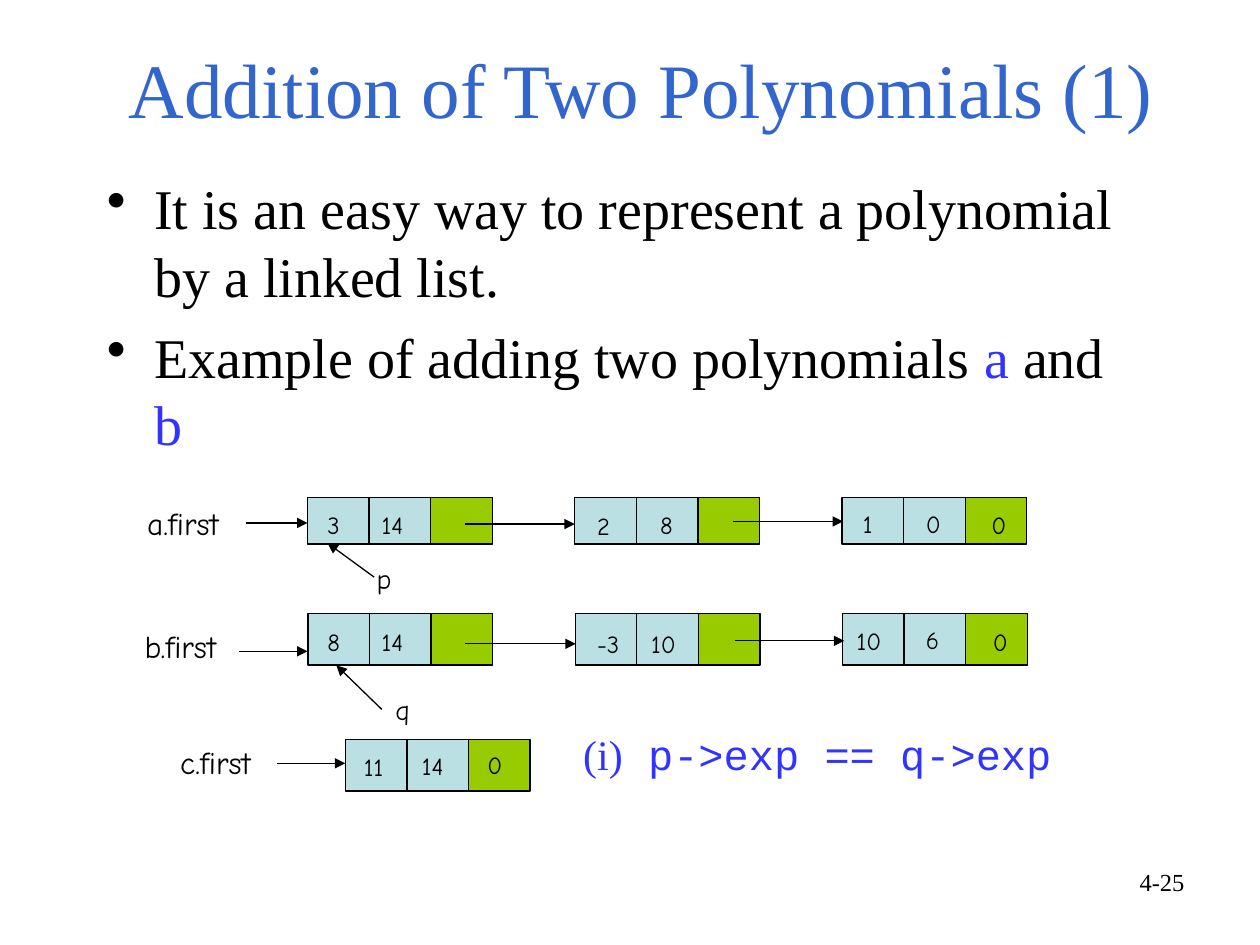
from lxml import etree
from pptx import Presentation
from pptx.dml.color import RGBColor
from pptx.enum.shapes import MSO_CONNECTOR, MSO_SHAPE
from pptx.enum.text import MSO_ANCHOR, MSO_AUTO_SIZE, PP_ALIGN
from pptx.oxml.ns import qn
from pptx.util import Pt

RECTANGLE = MSO_SHAPE.RECTANGLE
STRAIGHT = MSO_CONNECTOR.STRAIGHT
BOTTOM = MSO_ANCHOR.BOTTOM
NO_AUTOFIT = MSO_AUTO_SIZE.NONE
LEFT, CENTER, RIGHT = PP_ALIGN.LEFT, PP_ALIGN.CENTER, PP_ALIGN.RIGHT

COLORS = {
    "title": "3366CC",
    "text": "000000",
    "accent": "3333FF",
    "data": "BBE0E3",
    "link": "99CC00",
}
SERIF, HAND, CODE = "Times New Roman", "Comic Neue", "Courier New"
CELL_WIDTH = 35.2
NODE_PITCH = 152.75


class PolynomialSlide:
    def __init__(self, presentation):
        self.slide = presentation.slides.add_slide(presentation.slide_layouts[5])

    def add_runs(self, paragraph, runs, size):
        for text, font, color in runs:
            run = paragraph.add_run()
            run.text = text
            run.font.name = font
            run.font.size = Pt(size)
            run.font.color.rgb = RGBColor.from_string(COLORS[color])

    def title(self, text, left, top, width, height):
        shape = self.slide.shapes.title
        shape.left, shape.top = Pt(left), Pt(top)
        shape.width, shape.height = Pt(width), Pt(height)
        frame = shape.text_frame
        frame.auto_size = NO_AUTOFIT
        frame.vertical_anchor = BOTTOM
        paragraph = frame.paragraphs[0]
        paragraph.alignment = CENTER
        self.add_runs(paragraph, [(text, SERIF, "title")], 44)

    def text(self, runs, left, top, width, height, size, align=LEFT):
        frame = self.slide.shapes.add_textbox(
            Pt(left), Pt(top), Pt(width), Pt(height)).text_frame
        frame.word_wrap = True
        paragraph = frame.paragraphs[0]
        paragraph.alignment = align
        self.add_runs(paragraph, runs, size)
        return frame

    def bullets(self, items, left, top, width, height):
        frame = self.text(items[0], left, top, width, height, 32)
        for runs in items[1:]:
            self.add_runs(frame.add_paragraph(), runs, 32)
        for paragraph in frame.paragraphs:
            paragraph.space_before = Pt(8)
            properties = paragraph._p.get_or_add_pPr()
            properties.set("marL", str(Pt(27)))
            properties.set("indent", str(-Pt(27)))
            etree.SubElement(properties, qn("a:buChar")).set("char", "•")

    def label(self, text, left, top, size):
        width = 20.2 if len(text) == 1 else 35.2 if len(text) == 2 else 80.6
        self.text([(text, HAND, "text")], left, top, width, size + 11, size)

    def node(self, left, top, height):
        for column, color in enumerate(("data", "data", "link")):
            shape = self.slide.shapes.add_shape(
                RECTANGLE, Pt(left + column * CELL_WIDTH), Pt(top),
                Pt(CELL_WIDTH), Pt(height))
            shape.shadow.inherit = False
            shape.fill.solid()
            shape.fill.fore_color.rgb = RGBColor.from_string(COLORS[color])
            shape.line.color.rgb = RGBColor.from_string(COLORS["text"])
            shape.line.width = Pt(0.75)

    def arrow(self, start_x, start_y, end_x, end_y):
        connector = self.slide.shapes.add_connector(
            STRAIGHT, Pt(start_x), Pt(start_y), Pt(end_x), Pt(end_y))
        connector.line.color.rgb = RGBColor.from_string(COLORS["text"])
        connector.line.width = Pt(0.75)
        line = connector.line._get_or_add_ln()
        etree.SubElement(line, qn("a:tailEnd")).set("type", "triangle")
        etree.SubElement(connector._element.spPr, qn("a:effectLst"))

    def linked_list(self, name, left, top, height, count, values):
        for index in range(count):
            self.node(left + index * NODE_PITCH, top, height)
        self.label(*name, 18)
        for value in values:
            self.label(*value, 14)


LISTS = [
    (("a.first", 77, 284.4), 175.7, 284.4, 26.6, 3, [
        ("3", 180, 288), ("14", 211, 288),
        ("2", 334.1, 288.7), ("8", 370.1, 288),
        ("1", 486, 287.3), ("0", 522, 287.3), ("0", 559.4, 288)]),
    (("b.first", 75.6, 355), 176, 350.6, 29.5, 3, [
        ("8", 180, 355), ("14", 211, 355),
        ("-3", 334.1, 355.7), ("10", 365, 355.7),
        ("10", 482.4, 354.2), ("6", 522, 353.5), ("0", 560.2, 355)]),
    (("c.first", 95.8, 421.2), 197.4, 422.6, 29.5, 1, [
        ("11", 200.9, 426.2), ("14", 234, 425.5), ("0", 271.4, 424.8)]),
]
ARROWS = [
    (140.4, 298.8, 175.7, 298.8), (265.7, 299.5, 328.4, 299.5),
    (419, 298, 481.7, 298), (136.8, 372.2, 175.7, 372.2),
    (265.7, 367.9, 329, 367.9), (419.8, 366.2, 482.4, 366.2),
    (213.8, 329.8, 187.2, 310.4), (218.2, 405.4, 192.2, 380.2),
    (158.4, 436.2, 197.3, 436.2),
]


def main():
    presentation = Presentation()
    presentation.slide_width, presentation.slide_height = Pt(720), Pt(540)
    page = PolynomialSlide(presentation)
    page.title("Addition of Two Polynomials (1)", 54, 16.6, 625, 63.4)
    page.bullets([
        [("It is an easy way to represent a polynomial by a linked list.",
          SERIF, "text")],
        [("Example of adding two polynomials ", SERIF, "text"),
         ("a", SERIF, "accent"), (" and ", SERIF, "text"),
         ("b", SERIF, "accent")],
    ], 54, 95.8, 606.2, 174.2)
    for linked_list in LISTS:
        page.linked_list(*linked_list)
    for arrow in ARROWS:
        page.arrow(*arrow)
    page.label("p", 208.1, 317.5, 16)
    page.label("q", 218.9, 392.4, 16)
    page.text([("(i)", SERIF, "accent"), (" p->exp == q->exp", CODE, "accent")],
              326.2, 412.6, 314.6, 36, 24)
    page.text([("4-25", SERIF, "text")], 516.2, 491.8, 167.8, 37.4, 14, RIGHT)
    presentation.save("out.pptx")


if __name__ == "__main__":
    main()
